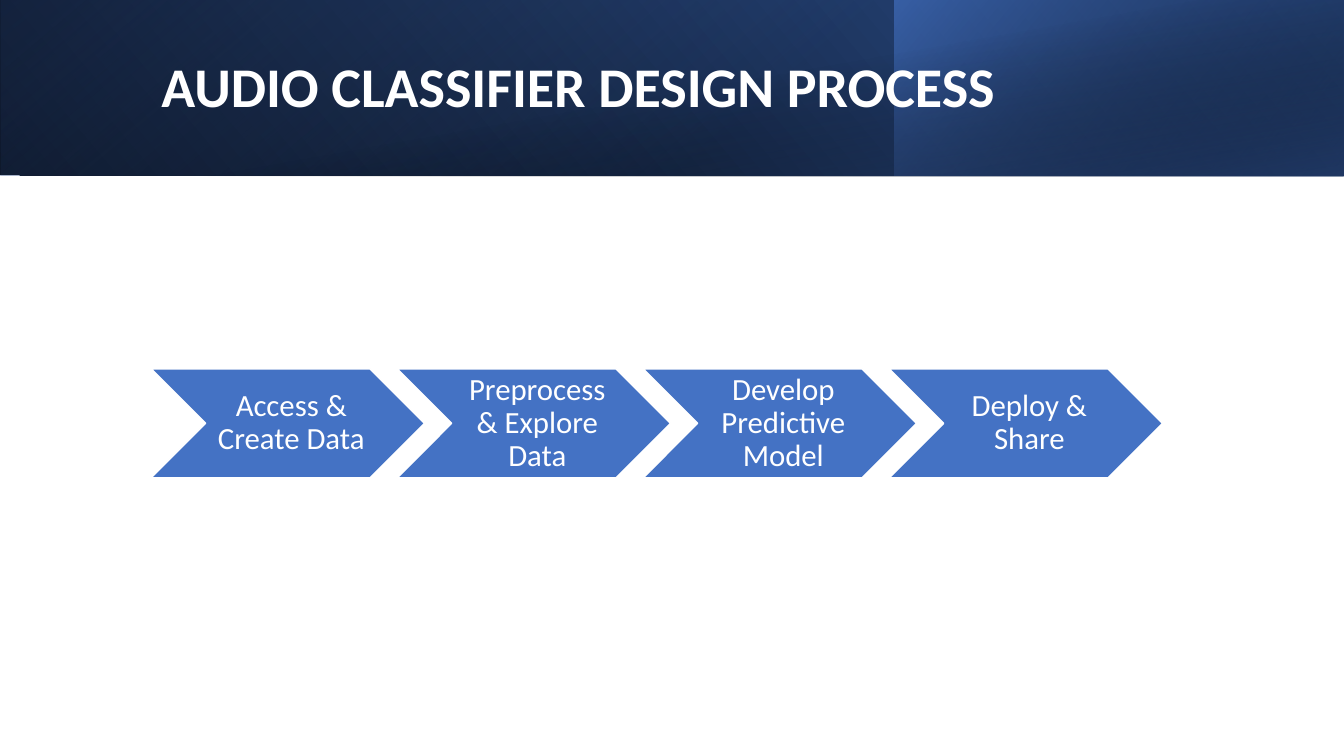
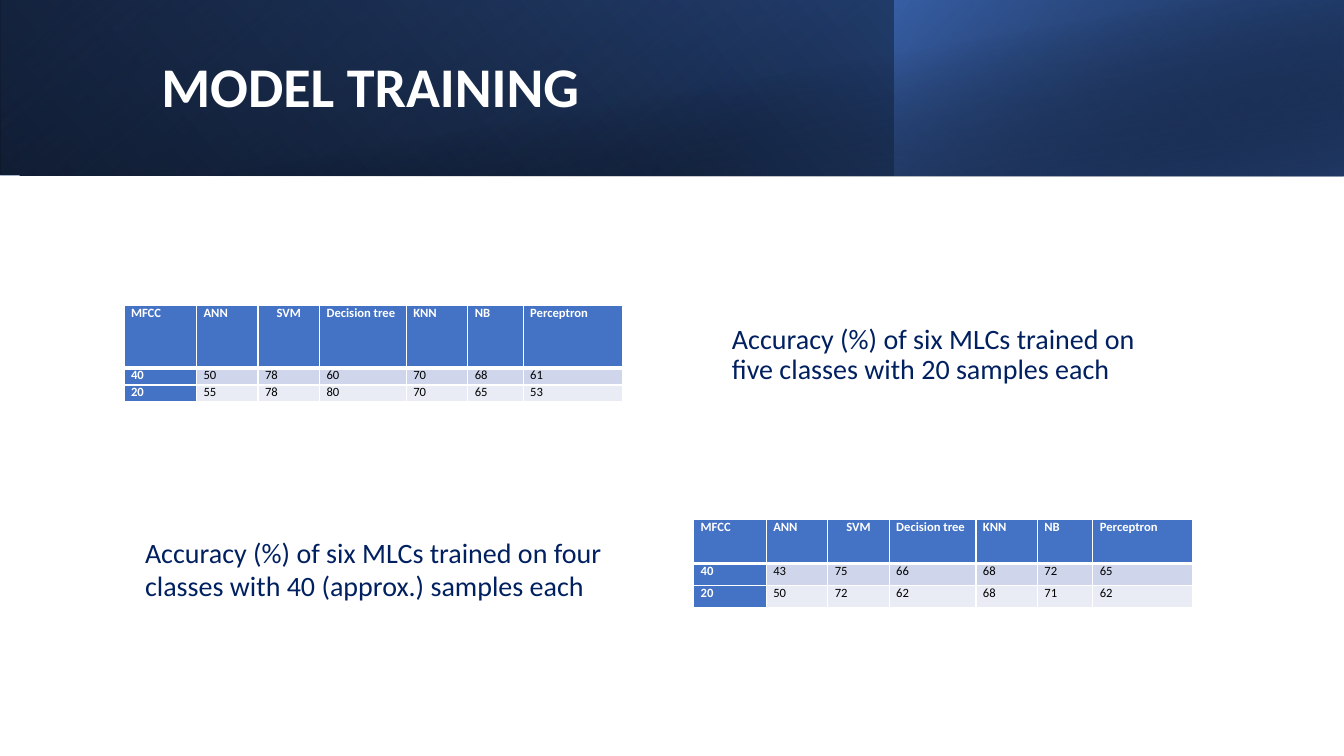
from dataclasses import dataclass

from lxml import etree
from pptx import Presentation
from pptx.dml.color import RGBColor
from pptx.enum import shapes, text
from pptx.oxml import parse_xml
from pptx.oxml.ns import nsdecls, qn
from pptx.util import Inches, Pt


@dataclass(frozen=True)
class Theme:
    font: str = "Calibri"
    white: str = "FFFFFF"
    black: str = "000000"
    accent: str = "4472C4"
    accent_dark: str = "2F5597"
    navy: str = "203864"
    caption: str = "002060"
    stripes: tuple = ("CFD5EA", "E9EBF5")
    title_size: int = 40
    step_size: int = 22
    caption_size: int = 20
    table_size: int = 9


THEME = Theme()

BANDS = [
    {"box": (0, 0, 13.33, 1.74), "angle": 140, "flip": True,
     "stops": [(0, THEME.black, 100), (100, THEME.accent_dark, 100)]},
    {"box": (0, 0, 8.88, 1.74), "angle": 230, "flip": True, "rotation": 180,
     "stops": [(20, THEME.accent, 0), (100, THEME.navy, 55)]},
    {"box": (8.87, 0, 4.46, 1.74), "angle": 220, "flip": True,
     "stops": [(0, THEME.accent, 66), (100, THEME.black, 30)]},
    {"box": (0.5, 0, 12.83, 1.75), "angle": 280,
     "stops": [(50, THEME.black, 0), (99, THEME.navy, 52)]},
]
TITLE_BOX = (1.5, 0.32, 10.82, 1.13)

STEPS = ["Access & Create Data", "Preprocess & Explore Data",
         "Develop Predictive Model", "Deploy & Share"]
STEP_BOX = (1.5, 3.66, 2.71, 1.08)
STEP_PITCH = 2.44

HEADERS = ["MFCC", "ANN", "SVM", "Decision tree", "KNN", "NB", "Perceptron"]
COLUMN_WIDTHS = [0.72, 0.61, 0.61, 0.86, 0.61, 0.55, 0.99]
FIVE_CLASSES = {
    "at": (1.23, 3.03), "row_heights": (0.62, 0.17, 0.17),
    "rows": [(40, 50, 78, 60, 70, 68, 61), (20, 55, 78, 80, 70, 65, 53)],
    "caption": "Accuracy (%) of six MLCs trained on five classes with 20 samples each",
    "caption_box": (7.16, 3.01, 4.62, 1.03),
}
FOUR_CLASSES = {
    "at": (6.88, 5.15), "row_heights": (0.44, 0.22, 0.22),
    "rows": [(40, 43, 75, 66, 68, 72, 65), (20, 50, 72, 62, 68, 71, 62)],
    "caption": "Accuracy (%) of six MLCs trained on four classes with 40 (approx.) samples each",
    "caption_box": (1.34, 5.26, 4.83, 0.77),
}


def inches(box):
    return [Inches(length) for length in box]


def place(shape, box):
    shape.left, shape.top, shape.width, shape.height = inches(box)


def write(text_frame, content, size, color, bold=False,
          align=text.PP_ALIGN.LEFT, spacing=None):
    text_frame.text = content
    paragraph = text_frame.paragraphs[0]
    paragraph.alignment = align
    paragraph.line_spacing = spacing
    font = paragraph.runs[0].font
    font.name, font.size, font.bold = THEME.font, Pt(size), bold
    font.color.rgb = RGBColor.from_string(color)


def fill_gradient(shape, stops, angle):
    gradient = "".join(
        f'<a:gs pos="{position * 1000}"><a:srgbClr val="{color}">'
        f'<a:alpha val="{opacity * 1000}"/></a:srgbClr></a:gs>'
        for position, color, opacity in stops)
    properties = shape._element.spPr
    properties.find(qn("a:prstGeom")).addnext(parse_xml(
        f'<a:gradFill {nsdecls("a")}><a:gsLst>{gradient}</a:gsLst>'
        f'<a:lin ang="{(360 - angle) * 60000}" scaled="0"/></a:gradFill>'))


def add_titled_slide(presentation, layout_index, title):
    slide = presentation.slides.add_slide(presentation.slide_layouts[layout_index])
    for band in BANDS:
        shape = slide.shapes.add_shape(shapes.MSO_SHAPE.RECTANGLE, *inches(band["box"]))
        shape.shadow.inherit = False
        shape.line.fill.background()
        shape.rotation = band.get("rotation", 0)
        if band.get("flip"):
            shape._element.spPr.xfrm.set("flipH", "1")
        fill_gradient(shape, band["stops"], band["angle"])
    heading = slide.shapes.title
    slide.shapes._spTree.append(heading._element)
    place(heading, TITLE_BOX)
    write(heading.text_frame, title, THEME.title_size, THEME.white, bold=True, spacing=0.9)
    heading.text_frame.vertical_anchor = text.MSO_ANCHOR.MIDDLE
    return slide


def add_step(slide, index, label):
    left, top, width, height = STEP_BOX
    box = (left + index * STEP_PITCH, top, width, height)
    shape = slide.shapes.add_shape(shapes.MSO_SHAPE.CHEVRON, *inches(box))
    shape.shadow.inherit = False
    shape.fill.solid()
    shape.fill.fore_color.rgb = RGBColor.from_string(THEME.accent)
    shape.line.color.rgb = RGBColor.from_string(THEME.white)
    shape.line.width = Pt(1)
    frame = shape.text_frame
    frame.word_wrap = True
    frame.vertical_anchor = text.MSO_ANCHOR.MIDDLE
    frame.margin_left = Inches(0.1)
    frame.margin_top = frame.margin_right = frame.margin_bottom = Inches(0.03)
    write(frame, label, THEME.step_size, THEME.white,
          align=text.PP_ALIGN.CENTER, spacing=0.9)


def set_borders(cell, row):
    properties = cell._tc.get_or_add_tcPr()
    widths = {"L": 1, "R": 1, "T": 3 if row == 1 else 1, "B": 3 if row == 0 else 1}
    for side, width in widths.items():
        line = etree.SubElement(properties, qn(f"a:ln{side}"), w=str(Pt(width)))
        fill = etree.SubElement(line, qn("a:solidFill"))
        etree.SubElement(fill, qn("a:srgbClr"), val=THEME.white)


def add_accuracy_table(slide, result):
    rows = [HEADERS, *result["rows"]]
    size = (sum(COLUMN_WIDTHS), sum(result["row_heights"]))
    table = slide.shapes.add_table(
        len(rows), len(HEADERS), *inches(result["at"] + size)).table
    table.first_col = True
    for column, width in zip(table.columns, COLUMN_WIDTHS):
        column.width = Inches(width)
    for row, height in zip(table.rows, result["row_heights"]):
        row.height = Inches(height)
    for r, values in enumerate(rows):
        for c, value in enumerate(values):
            cell = table.cell(r, c)
            is_header = r == 0 or c == 0
            cell.margin_left = cell.margin_right = Inches(0.07)
            cell.margin_top = cell.margin_bottom = 0
            set_borders(cell, r)
            cell.fill.solid()
            cell.fill.fore_color.rgb = RGBColor.from_string(
                THEME.accent if is_header else THEME.stripes[r - 1])
            centred = r == 0 and value == "SVM"
            write(cell.text_frame, str(value), THEME.table_size,
                  THEME.white if is_header else THEME.black, bold=is_header,
                  align=text.PP_ALIGN.CENTER if centred else text.PP_ALIGN.JUSTIFY)


def build_process_slide(presentation):
    slide = add_titled_slide(presentation, 5, "AUDIO CLASSIFIER DESIGN PROCESS")
    for index, label in enumerate(STEPS):
        add_step(slide, index, label)


def build_training_slide(presentation):
    slide = add_titled_slide(presentation, 1, "MODEL TRAINING")
    body = slide.placeholders[1]
    place(body, FIVE_CLASSES["caption_box"])
    frame = body.text_frame
    frame.vertical_anchor = text.MSO_ANCHOR.MIDDLE
    write(frame, FIVE_CLASSES["caption"], THEME.caption_size, THEME.caption, spacing=0.9)
    paragraph = frame.paragraphs[0]
    paragraph.space_before = Pt(0)
    properties = paragraph._p.get_or_add_pPr()
    properties.set("marL", "0")
    properties.set("indent", "0")
    etree.SubElement(properties, qn("a:buNone"))

    for result in (FIVE_CLASSES, FOUR_CLASSES):
        add_accuracy_table(slide, result)

    caption = slide.shapes.add_textbox(*inches(FOUR_CLASSES["caption_box"]))
    caption.text_frame.word_wrap = True
    write(caption.text_frame, FOUR_CLASSES["caption"], THEME.caption_size, THEME.caption)


def main():
    presentation = Presentation()
    presentation.slide_width, presentation.slide_height = Inches(13.33), Inches(7.5)
    build_process_slide(presentation)
    build_training_slide(presentation)
    presentation.save("out.pptx")


if __name__ == "__main__":
    main()
